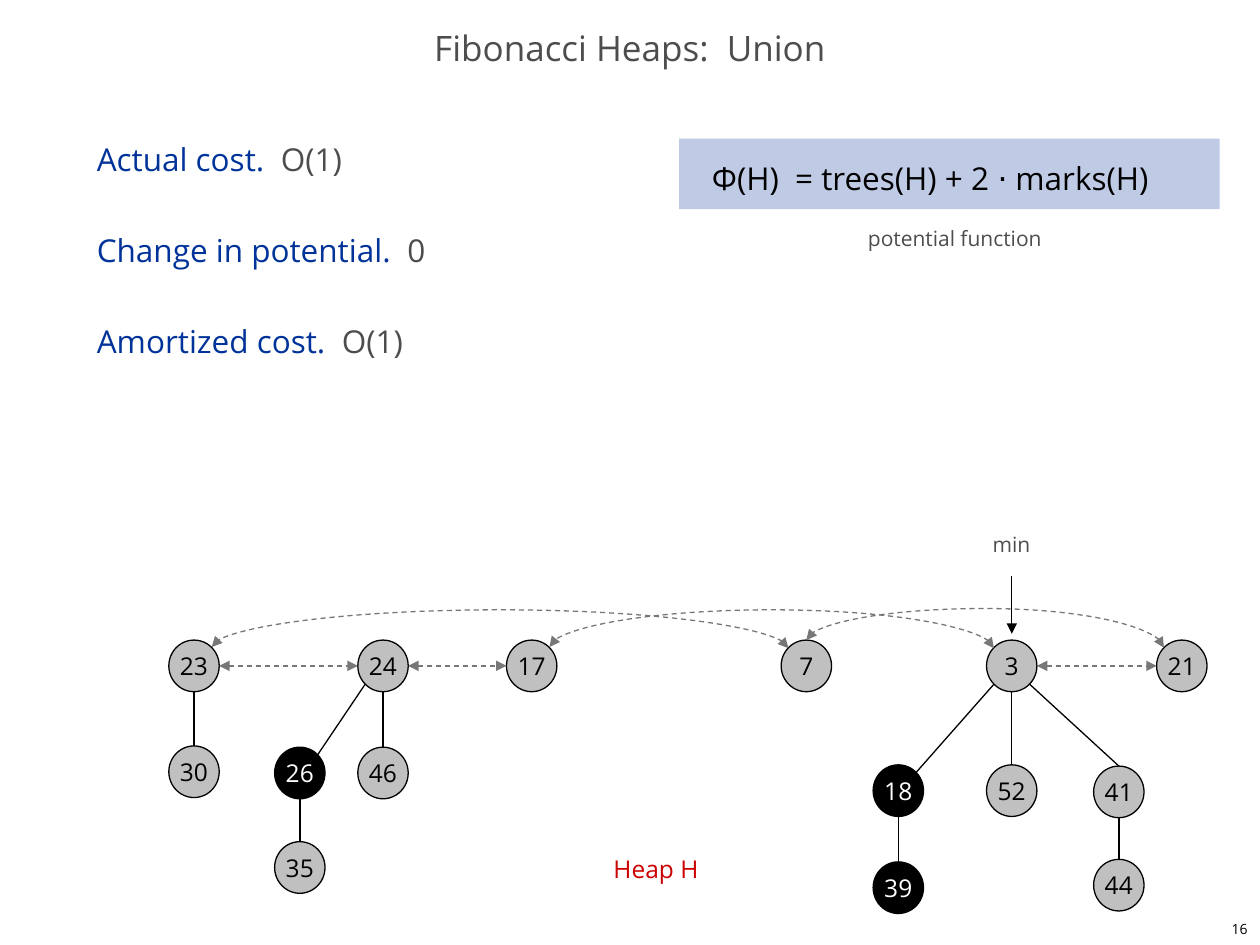
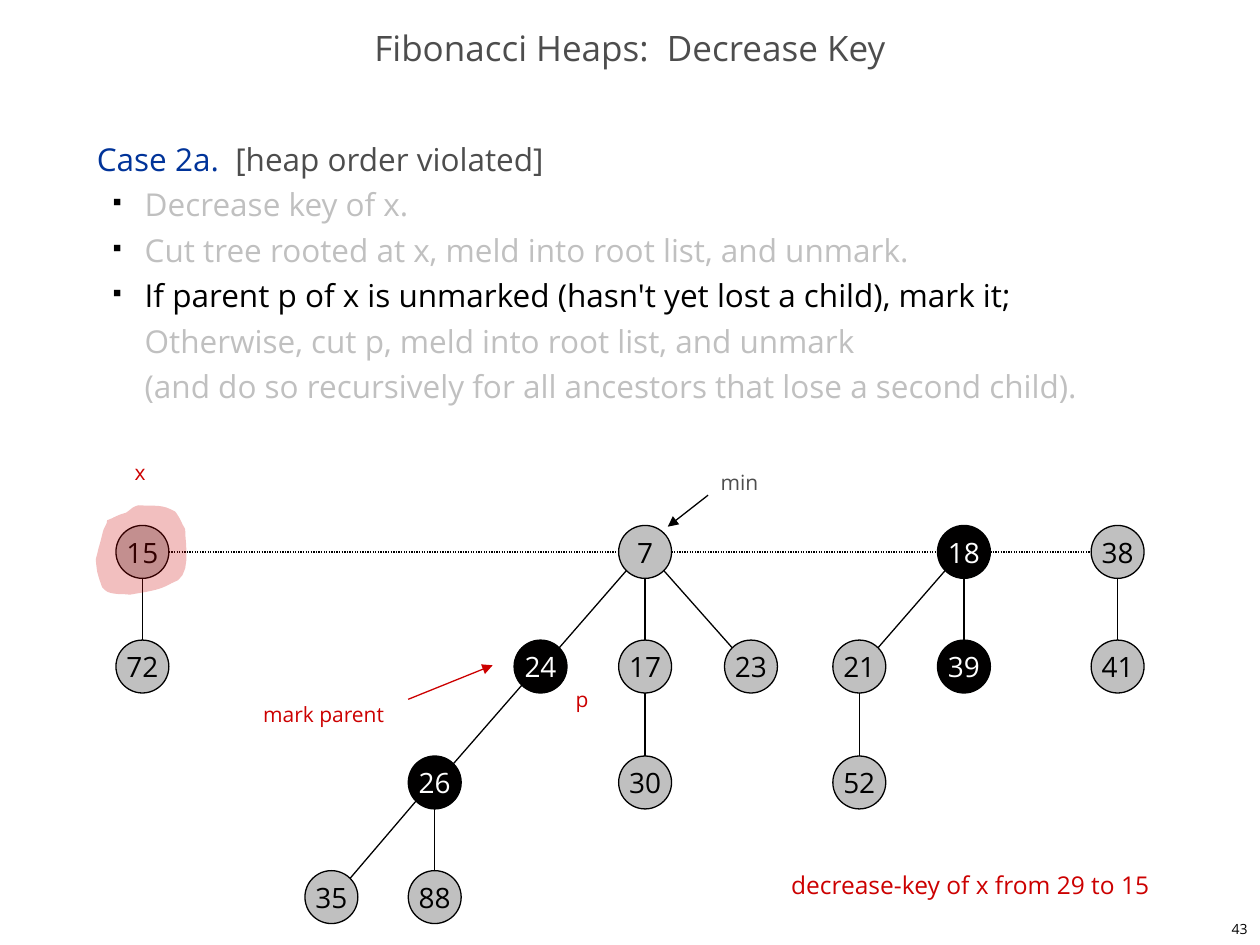
from lxml import etree
from pptx import Presentation
from pptx.dml.color import RGBColor
from pptx.enum.dml import MSO_LINE
from pptx.enum.shapes import MSO_CONNECTOR, MSO_SHAPE
from pptx.enum.text import MSO_ANCHOR, PP_ALIGN
from pptx.oxml.ns import qn
from pptx.util import Inches, Pt

STRAIGHT, CURVE = MSO_CONNECTOR.STRAIGHT, MSO_CONNECTOR.CURVE
OVAL, RECTANGLE = MSO_SHAPE.OVAL, MSO_SHAPE.RECTANGLE
DASH, DOTS = MSO_LINE.DASH, MSO_LINE.ROUND_DOT
MIDDLE = MSO_ANCHOR.MIDDLE
CENTER, RIGHT = PP_ALIGN.CENTER, PP_ALIGN.RIGHT

FONT = "Open Sans"
COLORS = {
    "black": "000000", "white": "FFFFFF", "gray": "4D4D4D", "faded": "C0C0C0",
    "link": "777777", "blue": "003399", "red": "CC0000", "marked": "010000",
}
RGB = {name: RGBColor.from_string(value) for name, value in COLORS.items()}

# Connection sites of an ellipse, counter-clockwise from the top
DIAGONAL = 0.707
SITES = [(0, -1), (-DIAGONAL, -DIAGONAL), (-1, 0), (-DIAGONAL, DIAGONAL),
         (0, 1), (DIAGONAL, DIAGONAL), (1, 0), (DIAGONAL, -DIAGONAL)]
TOP, TOP_LEFT, LEFT_SIDE, LOW_LEFT, BOTTOM, LOW_RIGHT, RIGHT_SIDE, TOP_RIGHT = range(8)
ARC_TOP_RISE = 0.31


def write(shape, paragraphs, size, frame_format, para_format):
    """Fill a shape with paragraphs, each a list of (text, color) spans."""
    frame = shape.text_frame
    for name, value in frame_format.items():
        setattr(frame, name, value)
    for index, spans in enumerate(paragraphs):
        para = frame.add_paragraph() if index else frame.paragraphs[0]
        for name, value in para_format.items():
            setattr(para, name, value)
        for text, color in spans:
            for line_index, line_text in enumerate(text.split("\n")):
                if line_index:
                    para.add_line_break()
                span = para.add_run()
                span.text = line_text
                span.font.name, span.font.size = FONT, Pt(size)
                span.font.color.rgb = RGB[color]


def add_line(page, kind, begin, end, color="black", dash=None, heads=()):
    line = page.shapes.add_connector(kind, *[Inches(v) for v in (*begin, *end)])
    line.line.width = Pt(0.75)
    line.line.color.rgb = RGB[color]
    if dash:
        line.line.dash_style = dash
    properties = line._element.spPr
    for head in heads:
        etree.SubElement(properties.find(qn("a:ln")), qn(head), type="triangle")
    etree.SubElement(properties, qn("a:effectLst"))
    return line


BOTH_HEADS = ("a:headEnd", "a:tailEnd")
TAIL = ("a:tailEnd",)

# Nodes: key -> left, top. Edges: begin node, its site, end node, its site.
union = {
    "title": "Fibonacci Heaps:  Union", "number": "16",
    "node_size": (0.4, 0.41), "key_size": 14,
    "nodes": {
        23: (1.34, 5.08), 24: (2.84, 5.08), 17: (4.02, 5.08), 7: (6.2, 5.08),
        3: (7.83, 5.08), 21: (9.18, 5.08), 30: (1.34, 5.92), 26: (2.18, 5.93),
        46: (2.84, 5.93), 35: (2.18, 6.68), 18: (6.93, 6.07), 52: (7.83, 6.07),
        41: (8.68, 6.08), 39: (6.93, 6.84), 44: (8.68, 6.82),
    },
    "marked": {26, 18, 39},
    "straight_down": [(23, 30), (24, 46), (26, 35), (3, 52), (18, 39), (41, 44)],
    "slanted": [(24, LOW_LEFT, 26, TOP_RIGHT), (3, LOW_LEFT, 18, TOP_RIGHT),
                (3, LOW_RIGHT, 41, TOP)],
    "root_links": [(23, 24), (24, 17), (3, 21)],
    "root_style": {"color": "link", "dash": DASH, "heads": BOTH_HEADS},
    "arcs": [(7, TOP_LEFT, 23, TOP_RIGHT), (21, TOP_LEFT, 7, TOP),
             (3, TOP_LEFT, 17, TOP_RIGHT)],
    "labels": [("potential function", 6.79, 1.74, 1.63, 12, "gray"),
               ("min", 7.78, 4.17, 0.51, 12, "gray"),
               ("Heap H", 4.77, 6.73, 0.89, 14, "red")],
    "arrows": [((8.03, 4.57), (8.03, 5.03), "black")],
    "body": [[("Actual cost.  ", "blue"), ("O(1)", "gray")],
             [("Change in potential.  ", "blue"), ("0", "gray")],
             [("Amortized cost.  ", "blue"), ("O(1)", "gray")]],
    "body_gap": 26, "first_bullet": 3,
}
decrease_key = {
    "title": "Fibonacci Heaps:  Decrease Key", "number": "43",
    "node_size": (0.42, 0.42), "key_size": 16,
    "nodes": {
        15: (0.92, 4.17), 7: (4.91, 4.17), 18: (7.44, 4.17), 38: (8.66, 4.17),
        72: (0.92, 5.08), 24: (4.08, 5.08), 17: (4.91, 5.08), 23: (5.75, 5.08),
        21: (6.61, 5.08), 39: (7.44, 5.08), 41: (8.66, 5.08), 26: (3.24, 6),
        30: (4.91, 6), 52: (6.61, 6), 35: (2.42, 6.91), 88: (3.24, 6.91),
    },
    "marked": {18, 24, 39, 26},
    "straight_down": [(15, 72), (7, 17), (17, 30), (18, 39), (21, 52), (38, 41),
                      (26, 88)],
    "slanted": [(7, LOW_LEFT, 24, TOP_RIGHT), (7, LOW_RIGHT, 23, TOP_LEFT),
                (24, LOW_LEFT, 26, TOP_RIGHT), (26, LOW_LEFT, 35, TOP_RIGHT),
                (18, LOW_LEFT, 21, TOP_RIGHT)],
    "root_links": [(15, 7), (7, 18), (18, 38)],
    "root_style": {"dash": DOTS},
    "arcs": [],
    "labels": [("min", 5.62, 3.68, 0.51, 12, "gray"),
               ("decrease-key of x from 29 to 15", 6.18, 6.86, 3.21, 14, "red"),
               ("p", 4.47, 5.4, 0.3, 12, "red"),
               ("x", 0.97, 3.6, 0.29, 12, "red"),
               ("mark parent", 1.99, 5.52, 1.19, 12, "red")],
    "arrows": [((5.62, 3.93), (5.3, 4.18), "black"),
               ((3.24, 5.55), (3.91, 5.28), "red")],
    "body": [[("Case 2a.  ", "blue"), ("[heap order violated]", "gray")],
             [("Decrease key of x.", "faded")],
             [("Cut tree rooted at x, meld into root list, and unmark.", "faded")],
             [("If parent p of x is unmarked (hasn't yet lost a child), mark it;\n", "black"),
              ("Otherwise, cut p, meld into root list, and unmark\n"
               "(and do so recursively for all ancestors that lose a second child).", "faded")]],
    "body_gap": 0, "first_bullet": 1,
}

deck = Presentation()
deck.slide_width, deck.slide_height = Inches(10), Inches(7.5)
pages = []

for heap in (union, decrease_key):
    page = deck.slides.add_slide(deck.slide_layouts[6])
    pages.append(page)

    # Title, page number and body
    box = page.shapes.add_textbox(0, Inches(0.17), Inches(10), Inches(0.5))
    write(box, [[(heap["title"], "gray")]], 20,
          {"word_wrap": True, "vertical_anchor": MIDDLE},
          {"alignment": CENTER, "line_spacing": 0.7})
    box = page.shapes.add_textbox(Inches(7.92), Inches(7.25), Inches(2.08), Inches(0.25))
    write(box, [[(heap["number"], "black")]], 8,
          {"word_wrap": True, "vertical_anchor": MIDDLE}, {"alignment": RIGHT})
    box = page.shapes.add_textbox(Inches(0.67), Inches(1), Inches(8.58), Inches(5.92))
    write(box, heap["body"], 18, {"word_wrap": True},
          {"line_spacing": Pt(26), "space_after": Pt(heap["body_gap"])})
    for para in box.text_frame.paragraphs[heap["first_bullet"]:]:
        para.level = 1
        properties = para._p.get_or_add_pPr()
        properties.set("marL", str(Inches(0.38)))
        properties.set("indent", str(Inches(-0.25)))
        bullet_color = etree.SubElement(properties, qn("a:buClr"))
        etree.SubElement(bullet_color, qn("a:srgbClr"), val=COLORS["black"])
        etree.SubElement(properties, qn("a:buSzPct"), val="35000")
        etree.SubElement(properties, qn("a:buChar"), char="■")

    # Heap nodes
    width, height = heap["node_size"]
    nodes = {}
    sites = {}
    for key, (left, top) in heap["nodes"].items():
        is_marked = key in heap["marked"]
        node = page.shapes.add_shape(OVAL, *[Inches(v) for v in (left, top, width, height)])
        node.shadow.inherit = False
        node.fill.solid()
        node.fill.fore_color.rgb = RGB["marked" if is_marked else "faded"]
        node.line.color.rgb = RGB["black"]
        node.line.width = Pt(0.75)
        write(node, [[(str(key), "white" if is_marked else "black")]], heap["key_size"],
              {"word_wrap": False, "vertical_anchor": MIDDLE}, {"alignment": CENTER})
        nodes[key] = node
        sites[key] = [(left + width / 2 * (1 + x), top + height / 2 * (1 + y))
                      for x, y in SITES]

    # Tree branches, root list links and arcs, all glued to their nodes
    edges = [(STRAIGHT, (parent, BOTTOM, child, TOP), {})
             for parent, child in heap["straight_down"]]
    edges += [(STRAIGHT, edge, {}) for edge in heap["slanted"]]
    edges += [(STRAIGHT, (first, RIGHT_SIDE, second, LEFT_SIDE), heap["root_style"])
              for first, second in heap["root_links"]]
    edges += [(CURVE, edge, heap["root_style"]) for edge in heap["arcs"]]
    for kind, (first, first_site, second, second_site), style in edges:
        begin, end = sites[first][first_site], sites[second][second_site]
        if kind == CURVE:
            # A quarter turn makes the curve leave its nodes upwards
            rise = max(begin[1] - end[1], 0.01)
            span_half = (begin[0] - end[0]) / 2
            center_x, center_y = (begin[0] + end[0]) / 2, (begin[1] + end[1]) / 2
            begin = (center_x + rise / 2, center_y - span_half)
            end = (center_x - rise / 2, center_y + span_half)
        line = add_line(page, kind, begin, end, **style)
        if kind == CURVE:
            properties = line._element.spPr
            properties.find(qn("a:xfrm")).set("rot", "5400000")
            etree.SubElement(properties.find(".//" + qn("a:avLst")), qn("a:gd"), name="adj1",
                             fmla=f"val {round(ARC_TOP_RISE / rise * 100000)}")
        glue = line._element.find(".//" + qn("p:cNvCxnSpPr"))
        for tag, key, site in (("a:stCxn", first, first_site), ("a:endCxn", second, second_site)):
            etree.SubElement(glue, qn(tag), id=str(nodes[key].shape_id), idx=str(site))

    # Labels and pointers
    for text, left, top, label_width, size, color in heap["labels"]:
        box = page.shapes.add_textbox(Inches(left), Inches(top), Inches(label_width), Inches(0.3))
        write(box, [[(text, color)]], size, {"word_wrap": False}, {})
    for begin, end, color in heap["arrows"]:
        add_line(page, STRAIGHT, begin, end, color, heads=TAIL)

# Potential function panel
panel = pages[0].shapes.add_shape(RECTANGLE, Inches(5.39), Inches(1.1), Inches(4.29), Inches(0.56))
write(panel, [[("Φ(H)  = trees(H) + 2 ⋅ marks(H)", "black")]], 18,
      {"word_wrap": True, "vertical_anchor": MSO_ANCHOR.TOP, "margin_left": Inches(0.26),
       "margin_top": Inches(0.1), "margin_bottom": Inches(0.1)},
      {"alignment": PP_ALIGN.LEFT, "line_spacing": Pt(26)})

# Highlight around x: a closed outline of cubic curves, in hundredths of an inch
blob_start = (85, 413)
blob_curves = [
    ((90, 411), (95, 408), (100, 407)), ((107, 402), (104, 403), (110, 401)),
    ((125, 402), (128, 400), (139, 406)), ((143, 411), (144, 415), (147, 420)),
    ((147, 433), (153, 459), (136, 463)), ((126, 469), (114, 470), (103, 472)),
    ((95, 471), (86, 473), (81, 466)), ((78, 457), (77, 456), (76, 444)),
    ((78, 436), (80, 429), (82, 421)), ((83, 418), (85, 416), (85, 413)),
]
STEPS = 8
outline = []
point = blob_start
for control_1, control_2, target in blob_curves:
    for step in range(1, STEPS + 1):
        t = step / STEPS
        weights = ((1 - t) ** 3, 3 * t * (1 - t) ** 2, 3 * t ** 2 * (1 - t), t ** 3)
        corners = (point, control_1, control_2, target)
        outline.append(tuple(10 * sum(w * c[axis] for w, c in zip(weights, corners))
                             for axis in (0, 1)))
    point = target
builder = pages[1].shapes.build_freeform(blob_start[0] * 10, blob_start[1] * 10,
                                         scale=Inches(1) / 1000)
builder.add_line_segments(outline, close=True)
blob = builder.convert_to_shape()

# Translucent fills
for shape, color in ((panel, "blue"), (blob, "red")):
    shape.shadow.inherit = False
    shape.line.fill.background()
    shape.fill.solid()
    shape.fill.fore_color.rgb = RGB[color]
    tint = shape._element.spPr.find(qn("a:solidFill")).find(qn("a:srgbClr"))
    etree.SubElement(tint, qn("a:alpha"), val="25000")

deck.save("out.pptx")
